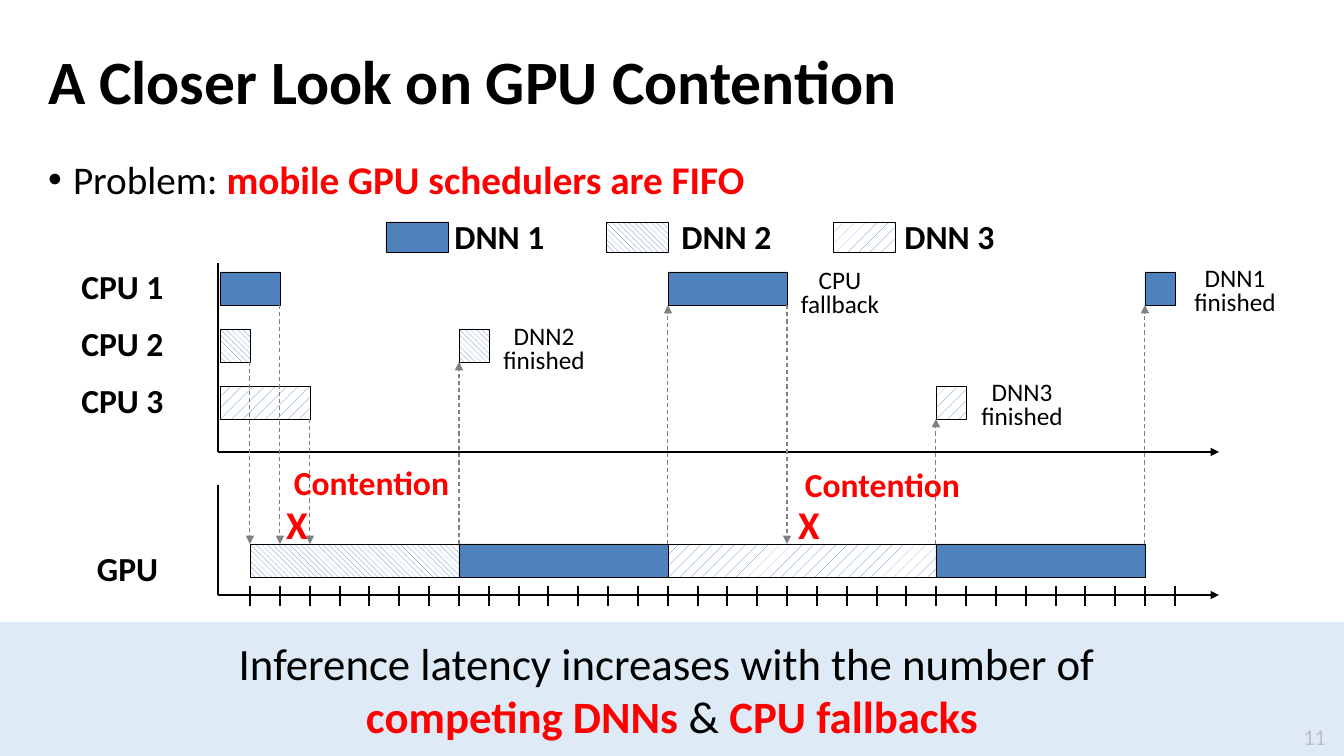
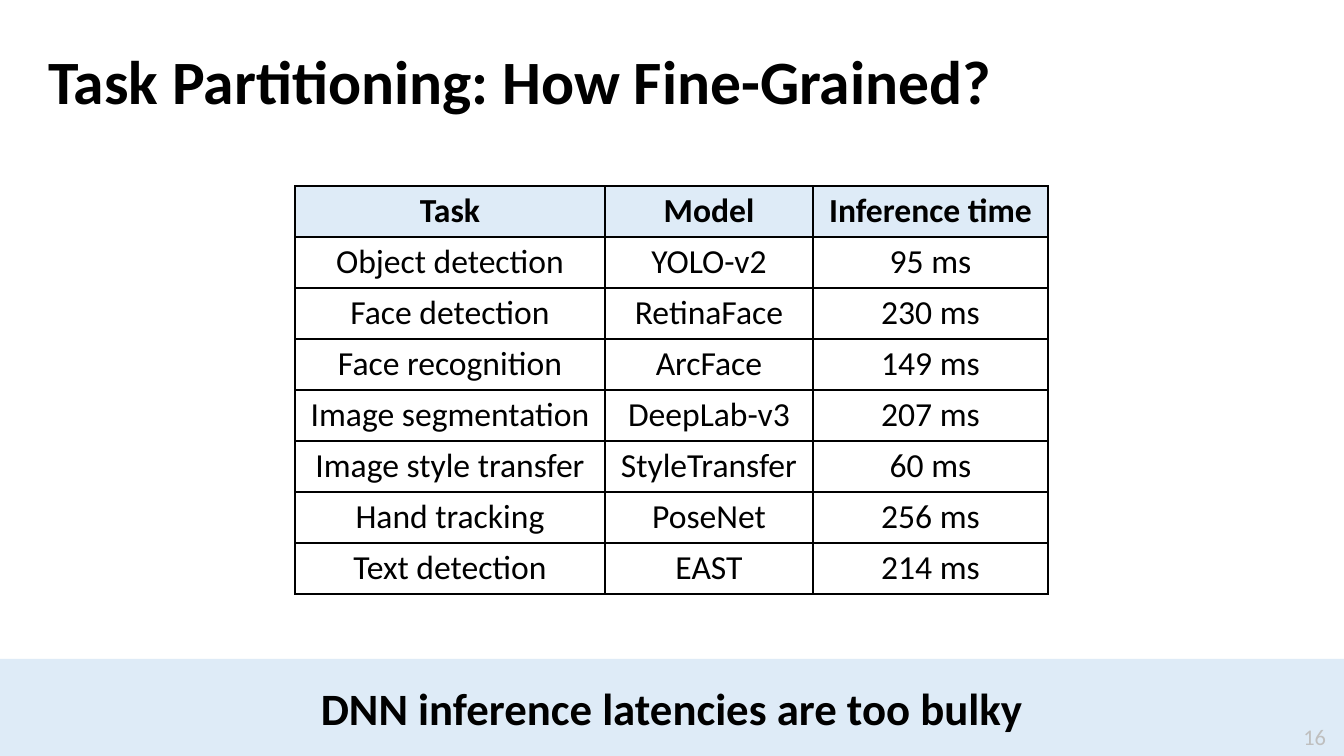
from dataclasses import dataclass

from lxml import etree
from pptx import Presentation
from pptx.dml.color import RGBColor
from pptx.enum.dml import MSO_LINE, MSO_PATTERN
from pptx.enum.shapes import MSO_CONNECTOR, MSO_SHAPE
from pptx.enum.text import MSO_ANCHOR, PP_ALIGN
from pptx.oxml.ns import qn
from pptx.util import Pt

LEFT, CENTER, RIGHT = PP_ALIGN.LEFT, PP_ALIGN.CENTER, PP_ALIGN.RIGHT
TOP, MIDDLE = MSO_ANCHOR.TOP, MSO_ANCHOR.MIDDLE
RECT, STRAIGHT, DASH = MSO_SHAPE.RECTANGLE, MSO_CONNECTOR.STRAIGHT, MSO_LINE.DASH
DOWN_DIAGONAL = MSO_PATTERN.WIDE_DOWNWARD_DIAGONAL
DOTTED = MSO_PATTERN.PERCENT_10

SLIDE_W, SLIDE_H = 1344, 756


@dataclass(frozen=True)
class Theme:
    font: str = "Calibri"
    black: str = "000000"
    white: str = "FFFFFF"
    red: str = "FF0000"
    blue: str = "4F81BD"
    pale: str = "DEEBF7"
    gray: str = "808080"
    number: str = "BFBFBF"
    title: int = 44
    banner: int = 32
    body: int = 28
    label: int = 24
    note: int = 18
    page: int = 16


T = Theme()
KEY = {"color": T.red, "bold": True}

# Pattern of each DNN's bars; None is a solid fill
DNN_PATTERNS = {1: None, 2: DOWN_DIAGONAL, 3: DOTTED}

# Timeline geometry
FIRST_TICK, LAST_TICK, TICK_COUNT = 250, 1175, 32
AXIS_X, AXIS_END = 218, 1219
CPU_AXIS_Y, GPU_AXIS_Y = 452, 595
BAR_H, GPU_Y = 33, 544
CPU_Y = {n: 272 + 57 * (n - 1) for n in (1, 2, 3)}

# Bars as (CPU, DNN, first tick, last tick) and (DNN, first tick, last tick)
CPU_BARS = [(1, 1, -1, 1), (2, 2, -1, 0), (3, 3, -1, 2), (1, 1, 14, 18),
            (2, 2, 7, 8), (3, 3, 23, 24), (1, 1, 30, 31)]
GPU_BARS = [(2, 0, 7), (1, 7, 14), (3, 14, 23), (1, 23, 30)]

# Hand-overs as (CPU, tick)
TO_GPU = [(2, 0), (1, 1), (3, 2), (1, 18)]
TO_CPU = [(2, 7), (1, 14), (3, 23), (1, 30)]

LEGEND = [(1, 386, 441), (2, 606, 668), (3, 833, 891)]
NOTES = [("CPU fallback", 778, 265), ("DNN1 finished", 1173, 263),
         ("DNN3 finished", 960, 377), ("DNN2 finished", 482, 321)]
CONTENTIONS = [(253, 276, 457), (765, 787, 459)]

TABLE_ROWS = [
    ("Task", "Model", "Inference time"),
    ("Object detection", "YOLO-v2", "95 ms"),
    ("Face detection", "RetinaFace", "230 ms"),
    ("Face recognition", "ArcFace", "149 ms"),
    ("Image segmentation", "DeepLab-v3", "207 ms"),
    ("Image style transfer", "StyleTransfer", "60 ms"),
    ("Hand tracking", "PoseNet", "256 ms"),
    ("Text detection", "EAST", "214 ms"),
]


def px(n):
    return round(n * 12192000 / SLIDE_W)


def rgb(color):
    return RGBColor.from_string(color)


def tick_x(i):
    return round(FIRST_TICK + i * (LAST_TICK - FIRST_TICK) / (TICK_COUNT - 1))


# Text

def add_run(p, text, size=T.label, color=T.black, bold=False):
    r = p.add_run()
    r.text = text
    r.font.name, r.font.size, r.font.bold = T.font, Pt(size), bold
    r.font.color.rgb = rgb(color)


def write(tf, paragraphs, align=CENTER, anchor=TOP, spacing=None, bullet=False, **font):
    """Fill a frame with a string, or with paragraphs made of (text, format) runs."""
    if isinstance(paragraphs, str):
        paragraphs = [[(paragraphs, {})]]
    tf.word_wrap, tf.vertical_anchor = True, anchor
    for i, runs in enumerate(paragraphs):
        p = tf.add_paragraph() if i else tf.paragraphs[0]
        p.alignment = align
        if spacing:
            p.line_spacing = spacing
        if bullet:
            pPr = p._p.get_or_add_pPr()
            pPr.set("marL", str(px(25)))
            pPr.set("indent", str(-px(25)))
            etree.SubElement(pPr, qn("a:buFont")).set("typeface", "Arial")
            etree.SubElement(pPr, qn("a:buChar")).set("char", "•")
        for text, extra in runs:
            add_run(p, text, **{**font, **extra})


def add_text(slide, x, y, w, h, paragraphs, **fmt):
    tf = slide.shapes.add_textbox(px(x), px(y), px(w), px(h)).text_frame
    tf.margin_left = tf.margin_right = px(10)
    tf.margin_top = tf.margin_bottom = px(5)
    write(tf, paragraphs, **fmt)


# Shapes and lines

def add_rect(slide, x, y, w, h, fill, pattern=None, outline=None):
    sp = slide.shapes.add_shape(RECT, px(x), px(y), px(w), px(h))
    sp.shadow.inherit = False
    if pattern is None:
        sp.fill.solid()
        sp.fill.fore_color.rgb = rgb(fill)
    else:
        sp.fill.patterned()
        sp.fill.pattern = pattern
        sp.fill.fore_color.rgb = rgb(fill)
        sp.fill.back_color.rgb = rgb(T.white)
    if outline:
        sp.line.color.rgb = rgb(outline)
        sp.line.width = Pt(0.25)
    else:
        sp.line.fill.background()
    return sp


def add_bar(slide, dnn, x, y, w, h=BAR_H):
    add_rect(slide, x, y, w, h, T.blue, DNN_PATTERNS[dnn], T.black)


def add_line(slide, x1, y1, x2, y2, color=T.black, width=1.5, dash=None, arrow=False):
    cn = slide.shapes.add_connector(STRAIGHT, px(x1), px(y1), px(x2), px(y2))
    cn.line.color.rgb = rgb(color)
    cn.line.width = Pt(width)
    if dash:
        cn.line.dash_style = dash
    if arrow:
        ln = cn.line._get_or_add_ln()
        etree.SubElement(ln, qn("a:tailEnd")).set("type", "triangle")
    etree.SubElement(cn._element.spPr, qn("a:effectLst"))


# Parts that the slides share

def add_slide(prs, title, banner, banner_y, number):
    slide = prs.slides.add_slide(prs.slide_layouts[6])
    band = add_rect(slide, 0, banner_y, SLIDE_W, SLIDE_H - banner_y, T.pale)
    write(band.text_frame, banner, anchor=MIDDLE, size=T.banner)
    add_text(slide, 38, 42, 1276, 76, title,
             align=LEFT, anchor=MIDDLE, size=T.title, bold=True)
    add_text(slide, 1244, 718, 92, 38, number,
             align=RIGHT, anchor=MIDDLE, size=T.page, color=T.number)
    return slide


# GPU contention timeline

def add_legend(slide):
    for dnn, swatch_x, label_x in LEGEND:
        add_bar(slide, dnn, swatch_x, 222, 62, 30)
        add_text(slide, label_x, 211, 117, 23, f"DNN {dnn}", bold=True)


def add_axes(slide):
    for top, bottom in ((263, CPU_AXIS_Y), (485, GPU_AXIS_Y)):
        add_line(slide, AXIS_X, bottom, AXIS_END, bottom, arrow=True)
        add_line(slide, AXIS_X, bottom, AXIS_X, top)
    for i in range(TICK_COUNT):
        add_line(slide, tick_x(i), GPU_AXIS_Y + 11, tick_x(i), GPU_AXIS_Y - 9)
    for cpu, y in CPU_Y.items():
        add_text(slide, 69, y - 11, 107, 34, f"CPU {cpu}", bold=True)
    add_text(slide, 74, GPU_Y - 1, 107, 34, "GPU", bold=True)


def add_bars(slide):
    lanes = [(CPU_Y[cpu], *bar) for cpu, *bar in CPU_BARS]
    lanes += [(GPU_Y, *bar) for bar in GPU_BARS]
    for y, dnn, start, end in lanes:
        add_bar(slide, dnn, tick_x(start), y, tick_x(end) - tick_x(start))


def add_handovers(slide):
    style = {"color": T.gray, "width": 0.75, "dash": DASH, "arrow": True}
    for cpu, i in TO_GPU:
        add_line(slide, tick_x(i), CPU_Y[cpu] + BAR_H, tick_x(i), GPU_Y, **style)
    for cpu, i in TO_CPU:
        add_line(slide, tick_x(i), GPU_Y, tick_x(i), CPU_Y[cpu] + BAR_H, **style)


def add_annotations(slide):
    for text, x, y in NOTES:
        add_text(slide, x, y, 124, 34, text, size=T.note, spacing=0.8)
    for mark_x, label_x, label_y in CONTENTIONS:
        add_text(slide, mark_x, 495, 88, 59, "X", size=T.body, **KEY)
        add_text(slide, label_x, label_y, 191, 29, "Contention", **KEY)


def build_contention(prs):
    banner = [[("Inference latency increases with the number of ", {})],
              [("competing DNNs", KEY), (" & ", {}), ("CPU fallbacks", KEY)]]
    slide = add_slide(prs, "A Closer Look on GPU Contention", banner, 622, "11")
    add_text(slide, 38, 150, 1284, 56,
             [[("Problem: ", {}), ("mobile GPU schedulers are FIFO", KEY)]],
             align=LEFT, bullet=True, size=T.body)
    add_legend(slide)
    add_axes(slide)
    add_bars(slide)
    add_handovers(slide)
    add_annotations(slide)


# Inference time table

def set_borders(cell):
    tcPr = cell._tc.get_or_add_tcPr()
    for side in ("lnL", "lnR", "lnT", "lnB"):
        ln = etree.SubElement(tcPr, qn(f"a:{side}"), w=str(Pt(1)))
        fill = etree.SubElement(ln, qn("a:solidFill"))
        etree.SubElement(fill, qn("a:srgbClr")).set("val", T.black)


def add_table(slide, x, y, col_widths, row_h, rows):
    table = slide.shapes.add_table(len(rows), len(col_widths), px(x), px(y),
                                   px(sum(col_widths)), px(row_h * len(rows))).table
    table.first_row = table.horz_banding = False
    for col, width in zip(table.columns, col_widths):
        col.width = px(width)
    for i, values in enumerate(rows):
        table.rows[i].height = px(row_h)
        for j, text in enumerate(values):
            cell = table.cell(i, j)
            cell.margin_left = cell.margin_right = px(12)
            cell.margin_top = cell.margin_bottom = px(5)
            set_borders(cell)
            if i == 0:
                cell.fill.solid()
                cell.fill.fore_color.rgb = rgb(T.pale)
            else:
                cell.fill.background()
            write(cell.text_frame, text, bold=i == 0)


def build_partitioning(prs):
    banner = [[("DNN inference latencies are too bulky", {"bold": True})]]
    slide = add_slide(prs, "Task Partitioning: How Fine-Grained?", banner, 659, "16")
    add_table(slide, 295, 186, (310, 208, 235), 51, TABLE_ROWS)


def main():
    prs = Presentation()
    prs.slide_width, prs.slide_height = px(SLIDE_W), px(SLIDE_H)
    build_contention(prs)
    build_partitioning(prs)
    prs.save("out.pptx")


if __name__ == "__main__":
    main()
